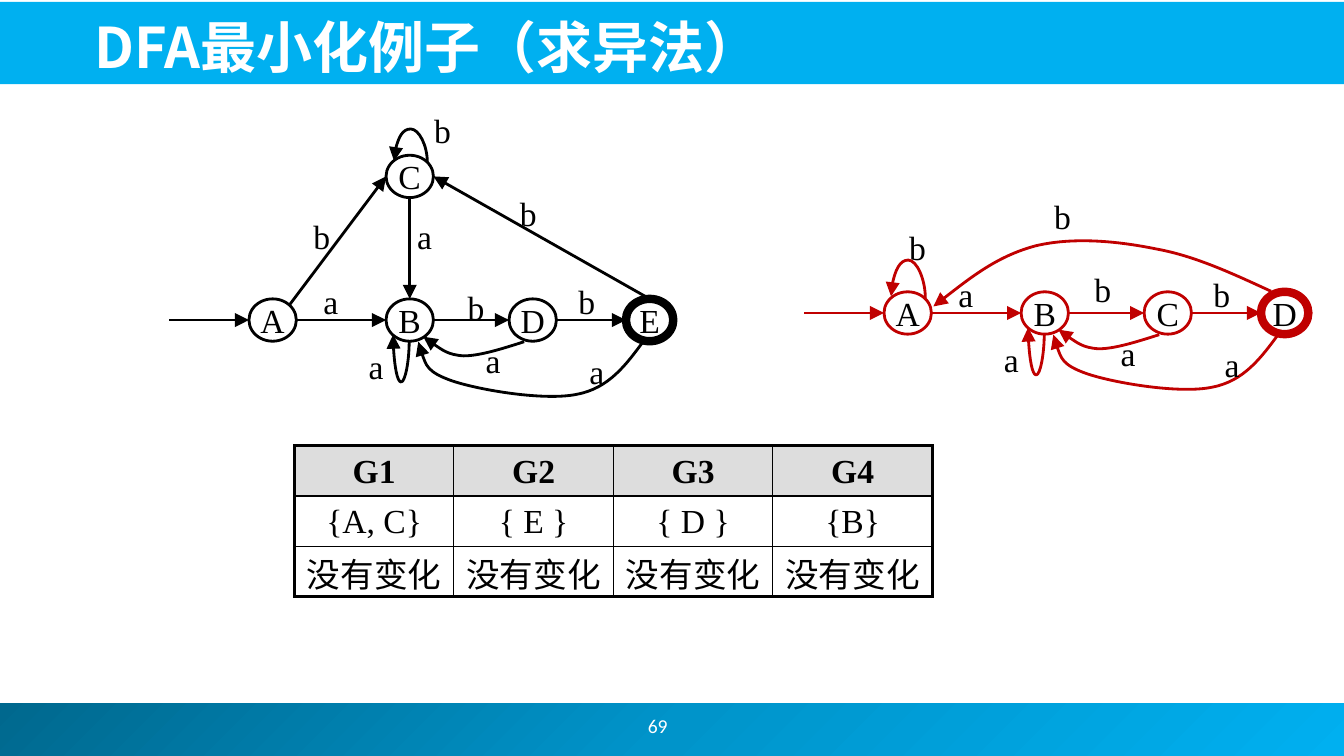
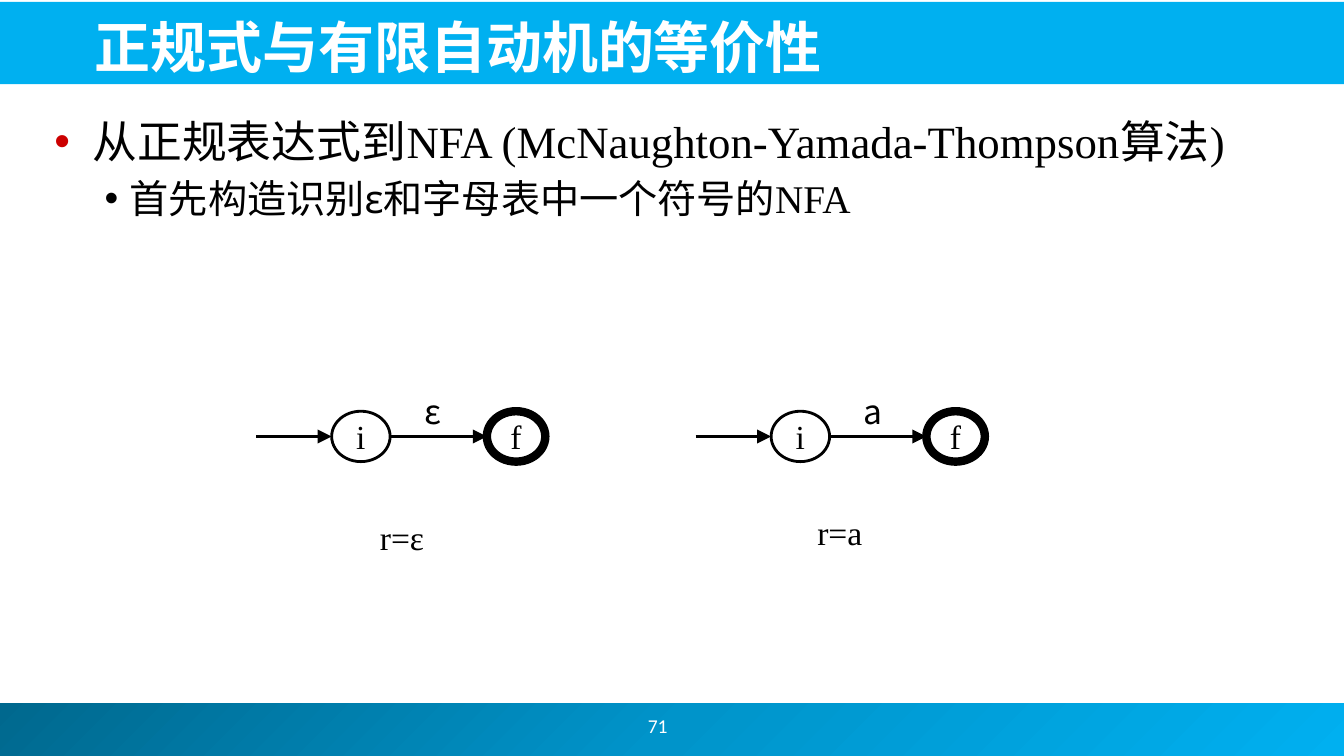
from itertools import pairwise

from lxml import etree
from pptx import Presentation
from pptx.dml.color import RGBColor
from pptx.enum.shapes import MSO_CONNECTOR as CONNECTOR, MSO_SHAPE as SHAPE
from pptx.enum.text import MSO_ANCHOR as ANCHOR, MSO_AUTO_SIZE as FIT, PP_ALIGN as ALIGN
from pptx.oxml.ns import qn
from pptx.util import Inches, Pt

UNIT = Inches(0.1)  # one column or row of the drawing grid
COLS, ROWS = 133.33, 75
BLACK, WHITE, RED, SKY, GREY = "000000", "FFFFFF", "C00000", "00B0F0", "DDDDDD"
BULLET_RED = "CC0000"
BAND_STOPS = ((0, "00688E"), (50, "0094CA"), (100, SKY))
SERIF, SANS, NUMBER, EPSILON = "Times New Roman", "Noto Sans CJK JP", "Calibri", "Comic Neue"
STATE = {"size": 24, "name": SERIF, "color": BLACK}
TITLE = {"size": 40, "name": SANS, "color": WHITE, "bold": True}
PAGE = {"size": 14, "name": NUMBER, "color": WHITE}


def u(*lengths):
    """Grid lengths as EMU."""
    return [round(n * UNIT) for n in lengths]


def rgb(value):
    return RGBColor.from_string(value)


def sub(parent, tag, **attrs):
    return etree.SubElement(parent, qn(tag), attrs)


def add_run(p, text, fmt):
    r = p.add_run()
    r.text = text
    for key, value in fmt.items():
        if key == "color":
            r.font.color.rgb = rgb(value)
        else:
            setattr(r.font, key, Pt(value) if key == "size" else value)
    sub(r.font._element, "a:ea", typeface=SANS)


def text_box(s, text, box, fmt, wrap=False, align=ALIGN.LEFT, **frame):
    tf = s.shapes.add_textbox(*u(*box)).text_frame
    for key, value in {"word_wrap": wrap, **frame}.items():
        setattr(tf, key, value)
    p = tf.paragraphs[0]
    p.alignment = align
    add_run(p, text, fmt)


def labels(s, *items, dx=0, dy=0, width=3.6, name=SERIF):
    for text, x, y in items:
        text_box(s, text, (x + dx, y + dy, width, 5), {**STATE, "name": name},
                 auto_size=FIT.SHAPE_TO_FIT_TEXT)


def band(s, *box):
    sp = s.shapes.add_shape(SHAPE.RECTANGLE, *u(*box))
    sp.shadow.inherit = False
    sp.line.fill.background()
    return sp


def frame(s, title, page):
    """Title band, footer band and page number."""
    footer = band(s, 0, 69.75, COLS, 5.25)
    footer.fill.gradient()
    footer.fill.gradient_angle = 315
    stops = footer.element.spPr.find(".//" + qn("a:gsLst"))
    stops.clear()
    for share, color in BAND_STOPS:
        sub(sub(stops, "a:gs", pos=str(share * 1000)), "a:srgbClr", val=color)
    header = band(s, 0, 0.2, COLS, 8.15)
    header.fill.solid()
    header.fill.fore_color.rgb = rgb(SKY)
    text_box(s, title, (8.4, 0.5, 120.6, 7.9), TITLE, wrap=True,
             vertical_anchor=ANCHOR.BOTTOM, margin_top=0, margin_bottom=Inches(0.05))
    text_box(s, page, (50.8, 69.5, 28.9, 5), PAGE, wrap=True,
             align=ALIGN.CENTER, vertical_anchor=ANCHOR.MIDDLE)


def outline(sp, color, width=2):
    sp.line.color.rgb = rgb(color)
    sp.line.width = Pt(width)


def arrowhead(sp):
    ln = sp.element.spPr.find(qn("a:ln"))
    sub(ln, "a:tailEnd", type="triangle", w="lg", len="lg")


def state(s, name, x, y, w=4.7, h=4.2, color=BLACK, final=False):
    sp = s.shapes.add_shape(SHAPE.OVAL, *u(x, y, w, h))
    sp.shadow.inherit = False
    sp.fill.background()
    outline(sp, color, 6 if final else 2)
    tf = sp.text_frame
    for key in ("margin_left", "margin_right", "margin_top", "margin_bottom"):
        setattr(tf, key, 0)
    tf.word_wrap = False
    tf.vertical_anchor = ANCHOR.MIDDLE
    tf.paragraphs[0].alignment = ALIGN.CENTER
    add_run(tf.paragraphs[0], name, STATE)
    return sp


def at(sp, across, down):
    """Grid point at the given shares of a shape's width and height."""
    return ((sp.left + across * sp.width) / UNIT, (sp.top + down * sp.height) / UNIT)


def arrow(s, start, end, color=BLACK):
    c = s.shapes.add_connector(CONNECTOR.STRAIGHT, *u(*start, *end))
    outline(c, color)
    arrowhead(c)
    sub(c.element.spPr, "a:effectLst")


def curve(s, points, color=BLACK, dx=0, dy=0):
    """Arrow along Bézier pieces: a start, then three points for each piece."""
    start, *rest = [u(x + dx, y + dy) for x, y in points]
    builder = s.shapes.build_freeform(*start)
    builder.add_line_segments(rest, close=False)
    sp = builder.convert_to_shape()
    sp.shadow.inherit = False
    sp.fill.background()
    outline(sp, color)
    arrowhead(sp)
    outline_path = sp.element.spPr.find(".//" + qn("a:path"))
    segments = outline_path.findall(qn("a:lnTo"))
    for i in range(0, len(segments), 3):
        piece = sub(outline_path, "a:cubicBezTo")
        for segment in segments[i:i + 3]:
            piece.append(segment[0])
            outline_path.remove(segment)


def loop(s, start, end, peak, color=BLACK, dx=0, dy=0):
    """Arrow from a state back to itself, reaching the row peak."""
    (x0, y0), (x1, y1) = start, end
    mid, quarter = (x0 + x1) / 2, (x0 - x1) / 4
    points = [start, (x0, (y0 + peak) / 2), (mid + quarter, peak), (mid, peak),
              (mid - quarter, peak), (x1, (y1 + peak) / 2), end]
    curve(s, points, color, dx, dy)


def entry_chain(s, states, length, color=BLACK):
    """Entry arrow and the arrows from each state to the next."""
    x, y = at(states[0], 0, 0.5)
    arrow(s, (x - length, y), (x, y), color)
    for left, right in pairwise(states):
        arrow(s, at(left, 1, 0.5), at(right, 0, 0.5), color)


def automaton(s, names, color=BLACK, dx=0, dy=0):
    """Four states in a row, with the arrows that lead back to the second."""
    states = [state(s, name, x + dx, 29.65 + dy, color=color, final=name == names[-1])
              for name, x in zip(names, (24.7, 38.3, 50.5, 62.1))]
    entry_chain(s, states, 7.9, color)
    place = {"dx": dx, "dy": dy}
    loop(s, (40.6, 33.8), (39, 33.2), 37.9, color, **place)
    curve(s, [(52, 33.9), (49.8, 34.6), (47.6, 35.3), (46, 35.3),
              (44.4, 35.2), (42.6, 33.9), (42, 33.4)], color, **place)
    curve(s, [(63.8, 33.9), (62.1, 36.2), (60.4, 38.5), (57.3, 39.1),
              (54.1, 39.8), (47.6, 38.7), (44.9, 37.8),
              (42.3, 36.9), (41.9, 35.4), (41.5, 33.9)], color, **place)
    labels(s, ("a", 31.1, 27.4), ("a", 35.6, 33.8), ("a", 57.5, 34.3),
           ("a", 47.2, 33.2), ("b", 56.4, 27.4), **place)
    return states


def border(cell, **widths):
    pr = cell._tc.get_or_add_tcPr()
    for side, width in widths.items():
        ln = sub(pr, "a:ln" + side, w=str(Pt(width)))
        sub(sub(ln, "a:solidFill"), "a:srgbClr", val=BLACK)


def group_table(s, rows, box):
    n, m = len(rows), len(rows[0])
    table = s.shapes.add_table(n, m, *u(*box)).table
    table.first_row = table.horz_banding = False
    for i, row in enumerate(rows):
        for j, text in enumerate(row):
            cell = table.cell(i, j)
            cell.margin_top = Inches(0.02)
            cell.margin_bottom = 0
            cell.vertical_anchor = ANCHOR.MIDDLE
            edges = {"L": j == 0, "R": j == m - 1, "T": i == 0, "B": i == n - 1}
            border(cell, **{side: 2.25 if outer else 1 for side, outer in edges.items()})
            if i == 0:
                cell.fill.solid()
                cell.fill.fore_color.rgb = rgb(GREY)
            else:
                cell.fill.background()
            p = cell.text_frame.paragraphs[0]
            p.alignment = ALIGN.CENTER
            add_run(p, text, {**STATE, "bold": i == 0})


def bullet(p, color, margin, indent):
    pr = p._p.get_or_add_pPr()
    pr.set("marL", str(Inches(margin)))
    pr.set("indent", str(Inches(-indent)))
    sub(sub(pr, "a:buClr"), "a:srgbClr", val=color)
    sub(pr, "a:buFont", typeface="Arial")
    sub(pr, "a:buChar", char="•")


def bullets(s, box, items):
    tf = s.shapes.add_textbox(*u(*box)).text_frame
    tf.word_wrap = True
    for i, (size, mark, runs) in enumerate(items):
        p = tf.add_paragraph() if i else tf.paragraphs[0]
        bullet(p, *mark)
        if i:
            p.level = 1
            p.space_before = Pt(5)
        for text, name in runs:
            add_run(p, text, {"size": size, "name": name, "color": BLACK})


def minimization_slide(s):
    frame(s, "DFA最小化例子（求异法）", "69")
    a, b, _, e = automaton(s, "ABDE")
    c = state(s, "C", 38.3, 15.4)
    arrow(s, at(a, 0.85, 0.15), at(c, 0, 0.5))
    arrow(s, at(c, 0.5, 1), at(b, 0.5, 0))
    arrow(s, at(e, 0.5, 0), at(c, 1, 0.5))
    loop(s, (42.4, 16.1), (39.1, 16), 12.8)
    labels(s, ("a", 40.4, 20.9), ("b", 30.1, 20.9), ("b", 45.4, 28),
           ("b", 42.1, 10.4), ("b", 50.6, 18.6))
    group_table(s, [["G1", "G2", "G3", "G4"],
                    ["{A, C}", "{ E }", "{ D }", "{B}"],
                    ["没有变化"] * 4], (29.2, 44.2, 63.3, 15))

    automaton(s, "ABCD", RED, dx=63, dy=-0.7)
    loop(s, (91.8, 29.6), (88.4, 29.4), 25.8, RED)
    curve(s, [(126.1, 28.9), (122.4, 27.2), (118.6, 25.4), (114.7, 24.7),
              (110.8, 23.9), (106.4, 23.5), (102.7, 24.4),
              (99, 25.4), (95.8, 27.9), (92.6, 30.4)], RED)
    labels(s, ("b", 107.6, 26.2), ("b", 89.2, 22), ("b", 103.6, 18.9))


def thompson_slide(s):
    frame(s, "正规式与有限自动机的等价性", "71")
    bullets(s, (4.4, 10.8, 124.4, 54.4), [
        (32, (BULLET_RED, 0.38, 0.38),
         [("从正规表达式到NFA (McNaughton-Yamada-Thompson算法)", SERIF)]),
        (28, (BLACK, 0.75, 0.25),
         [("首先构造识别", SERIF), ("ε", EPSILON), ("和字母表中一个符号的NFA", SERIF)]),
    ])
    for symbol, x, caption_x, caption_y in (("ε", 32.9, 36.7, 50.8), ("a", 76.5, 80.1, 50.3)):
        states = [state(s, "i", x, 40.8, 5.8, 5),
                  state(s, "f", x + 15.4, 40.8, 5.8, 5, final=True)]
        entry_chain(s, states, 7.5)
        labels(s, (symbol, x + 8.2, 38.3), name=SANS)
        labels(s, ("r=" + symbol, caption_x, caption_y), width=6.5)


def main():
    prs = Presentation()
    prs.slide_width, prs.slide_height = u(COLS, ROWS)
    blank = prs.slide_layouts[6]
    for draw in (minimization_slide, thompson_slide):
        draw(prs.slides.add_slide(blank))
    prs.save("out.pptx")


if __name__ == "__main__":
    main()
